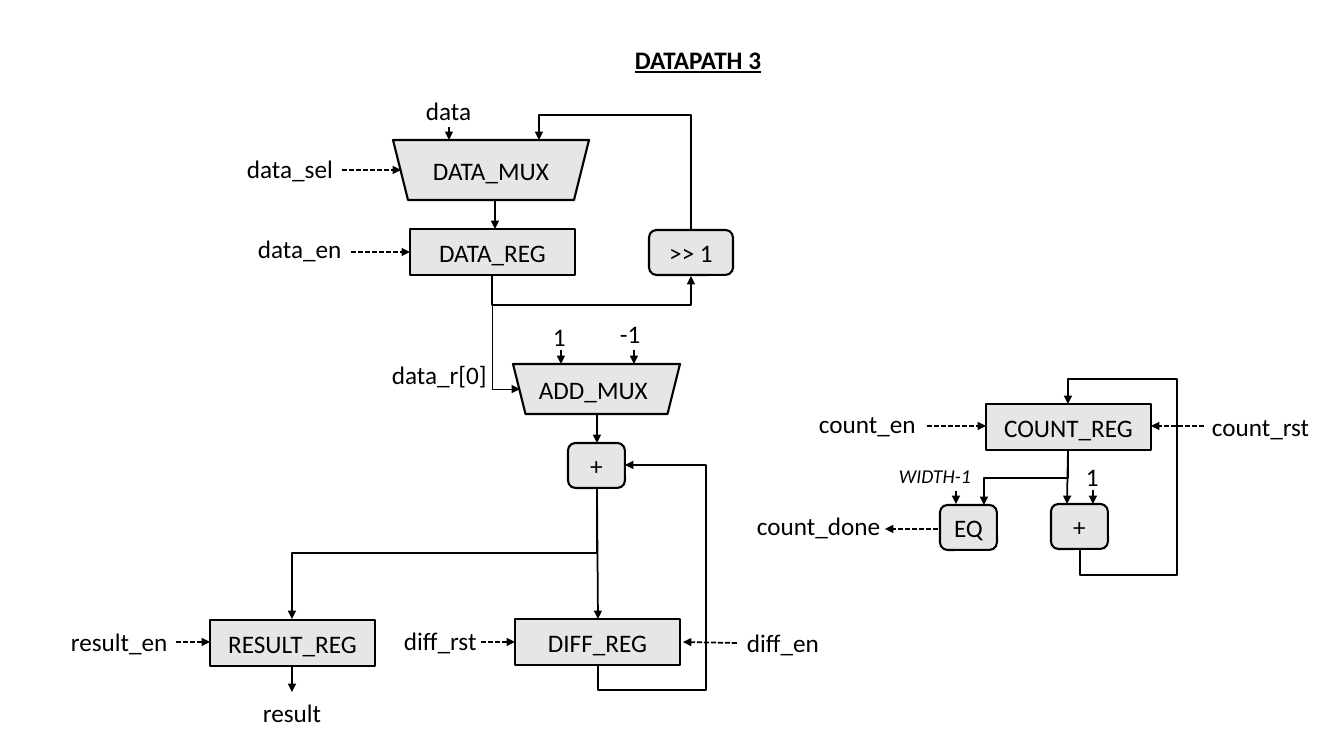
import pptx
import pptx.util
import pptx.dml.color
import pptx.enum.dml
import pptx.enum.shapes
import pptx.enum.text
import pptx.oxml.ns
import lxml.etree

COLOURS = {"ink": "000000", "block": "E7E6E6"}
FONT = "Calibri"
SCALE = 914400 / 100.8
LABEL_HEIGHT = 40
REGISTER_SIZE = (165, 46)
OPERATOR_SIZE = (57, 45)

# Blocks: text, left, top, (width, height)
REGISTERS = [
    ("DATA_REG", 410, 229, REGISTER_SIZE),
    ("DIFF_REG", 515, 619, REGISTER_SIZE),
    ("RESULT_REG", 210, 620, REGISTER_SIZE),
    ("COUNT_REG", 986, 404, REGISTER_SIZE),
]
OPERATORS = [
    ("+", 568, 443, OPERATOR_SIZE),
    (">> 1", 649, 230, (84, 45)),
    ("+", 1051, 504, OPERATOR_SIZE),
    ("EQ", 940, 505, OPERATOR_SIZE),
]
# Multiplexers turn upside down, so their names are among the labels
MULTIPLEXERS = [("", 393, 140, (196, 60)), ("", 513, 364, (167, 50))]

# Labels: text, left, top, width
LABELS = [
    ("DATA_MUX", 423, 150, 138),
    ("ADD_MUX", 529, 369, 138),
    ("data", 416, 90, 79),
    ("data_sel", 237, 148, 153),
    ("data_en", 248, 228, 118),
    ("data_r[0]", 382, 354, 153),
    ("1", 543, 316, 41),
    ("-1", 610, 313, 41),
    ("diff_rst", 394, 620, 118),
    ("diff_en", 737, 622, 118),
    ("result_en", 61, 621, 118),
    ("result", 253, 692, 89),
    ("count_en", 809, 403, 129),
    ("count_rst", 1202, 406, 129),
    ("count_done", 747, 505, 151),
    ("1", 1076, 456, 41),
]

# Arrows: start x, start y, end x, end y
DATA_ARROWS = [
    (449, 127, 449, 140),
    (495, 201, 495, 229),
    (561, 350, 561, 364),
    (634, 350, 634, 364),
    (597, 414, 597, 443),
    (597, 488, 598, 619),
    (292, 665, 292, 692),
    (1068, 451, 1067, 504),
    (1093, 490, 1093, 504),
    (956, 491, 956, 504),
]
CONTROL_ARROWS = [
    (342, 170, 401, 170),
    (351, 252, 410, 252),
    (737, 643, 683, 642),
    (176, 642, 210, 642),
    (481, 642, 515, 642),
    (927, 426, 986, 426),
    (1204, 426, 1151, 426),
    (938, 529, 885, 529),
]

# Routes: line width, corner points; each leaves its block vertically
ROUTES = [
    (1.25, [(598, 665), (598, 690), (706, 690), (706, 465), (625, 465)]),
    (1.25, [(597, 488), (597, 553), (292, 553), (292, 619)]),
    (1.25, [(492, 275), (492, 305), (691, 305), (691, 276)]),
    (1.25, [(691, 230), (691, 115), (539, 115), (539, 140)]),
    (0.5, [(492, 275), (492, 389), (520, 389)]),
    (1.25, [(1080, 549), (1080, 575), (1177, 575), (1177, 379), (1068, 379), (1068, 404)]),
    (1.25, [(1068, 451), (1068, 478), (984, 478), (984, 505)]),
]

SHAPES = pptx.enum.shapes.MSO_SHAPE
CONNECTORS = pptx.enum.shapes.MSO_CONNECTOR
qn = pptx.oxml.ns.qn


def emu(*pixels):
    return [pptx.util.Emu(round(pixel * SCALE)) for pixel in pixels]


def rgb(name):
    return pptx.dml.color.RGBColor.from_string(COLOURS[name])


def style_line(line, width):
    line.color.rgb = rgb("ink")
    line.width = pptx.util.Pt(width)


def write(frame, text, size=18, **styles):
    frame.text = text
    font = frame.paragraphs[0].runs[0].font
    font.name, font.size = FONT, pptx.util.Pt(size)
    font.color.rgb = rgb("ink")
    for style, value in styles.items():
        setattr(font, style, value)


def add_block(preset, text, left, top, size):
    block = page.shapes.add_shape(preset, *emu(left, top, *size))
    block.shadow.inherit = False
    block.fill.solid()
    block.fill.fore_color.rgb = rgb("block")
    style_line(block.line, 1.5)
    if text:
        frame = block.text_frame
        write(frame, text)
        frame.vertical_anchor = pptx.enum.text.MSO_ANCHOR.MIDDLE
        frame.paragraphs[0].alignment = pptx.enum.text.PP_ALIGN.CENTER
    return block


def add_label(text, left, top, width, height=LABEL_HEIGHT, **styles):
    box = page.shapes.add_textbox(*emu(left, top, width, height))
    box.text_frame.word_wrap = True
    write(box.text_frame, text, **styles)


def add_arrow(kind, ends, width=1.25):
    arrow = page.shapes.add_connector(kind, *emu(*ends))
    style_line(arrow.line, width)
    line = arrow.line._get_or_add_ln()
    lxml.etree.SubElement(line, qn("a:tailEnd"), type="triangle")
    lxml.etree.SubElement(arrow._element.spPr, qn("a:effectLst"))
    return arrow


def add_route(width, points):
    (x0, y0), (x1, y1) = points[0], points[-1]
    dx, dy = x1 - x0, y1 - y0
    middle_x, middle_y = (x0 + x1) / 2, (y0 + y1) / 2
    # An elbow starts horizontally, so lay it out a quarter turn back
    ends = (middle_x - dy / 2, middle_y + dx / 2, middle_x + dy / 2, middle_y - dx / 2)
    route = add_arrow(CONNECTORS.ELBOW, ends, width)
    properties = route._element.spPr
    properties.find(qn("a:xfrm")).set("rot", "5400000")
    geometry = properties.find(qn("a:prstGeom"))
    segments = len(points) - 1
    geometry.set("prst", f"bentConnector{segments}")
    guides = geometry.find(qn("a:avLst"))
    for number in range(1, segments - 1):
        x, y = points[number]
        share = (y - y0) / dy if number % 2 else (x - x0) / dx
        lxml.etree.SubElement(guides, qn("a:gd"), name=f"adj{number}",
                              fmla=f"val {round(share * 100000)}")


deck = pptx.Presentation()
deck.slide_width, deck.slide_height = emu(1344, 756)
page = deck.slides.add_slide(deck.slide_layouts[6])

# Blocks
for multiplexer in MULTIPLEXERS:
    add_block(SHAPES.TRAPEZOID, *multiplexer).rotation = 180
for register in REGISTERS:
    add_block(SHAPES.RECTANGLE, *register)
for operator in OPERATORS:
    add_block(SHAPES.ROUNDED_RECTANGLE, *operator)

# Arrows and routes
for ends in DATA_ARROWS:
    add_arrow(CONNECTORS.STRAIGHT, ends)
for ends in CONTROL_ARROWS:
    control = add_arrow(CONNECTORS.STRAIGHT, ends)
    control.line.dash_style = pptx.enum.dml.MSO_LINE.SQUARE_DOT
for width, points in ROUTES:
    add_route(width, points)

# Labels and title
for label in LABELS:
    add_label(*label)
add_label("WIDTH-1", 889, 459, 93, height=34, size=14, italic=True)
add_label("DATAPATH 3", 625, 39, 365, bold=True, underline=True)

deck.save("out.pptx")
